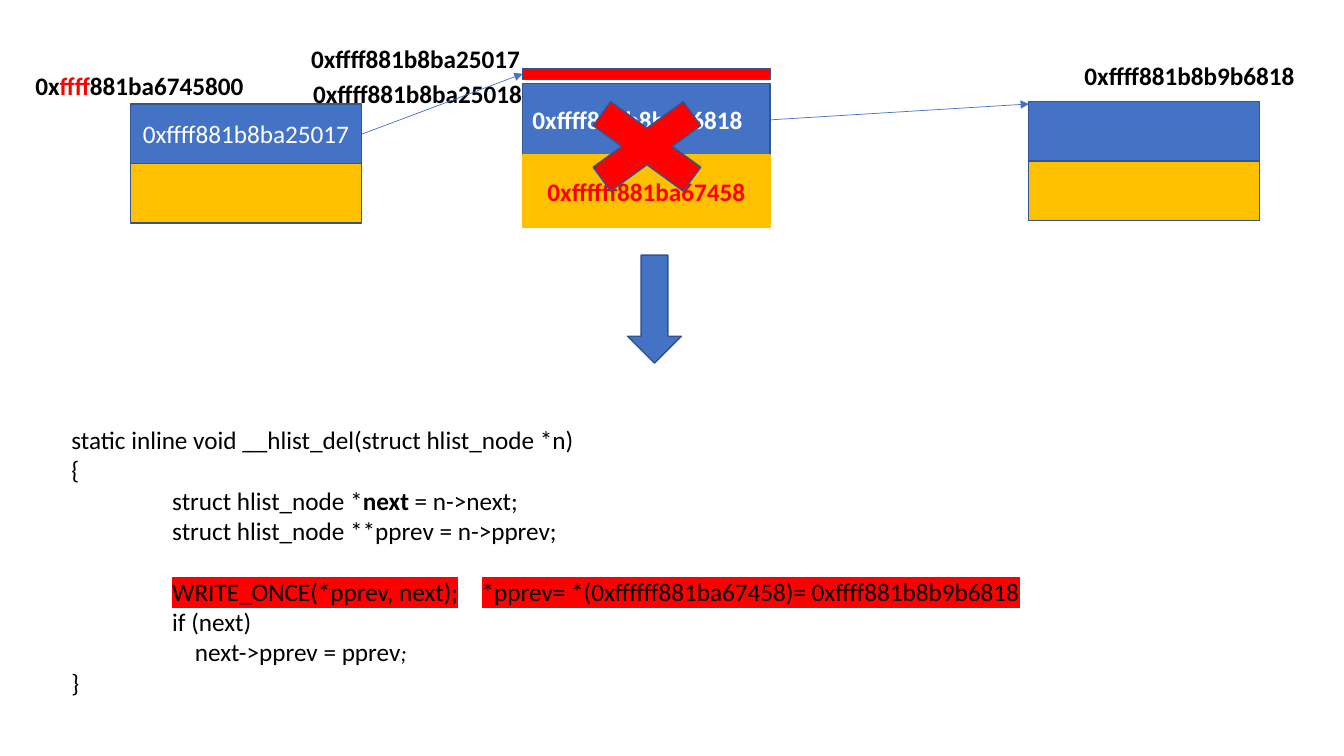
from dataclasses import dataclass

import pptx
import pptx.dml.color
import pptx.enum.shapes
import pptx.enum.text
import pptx.oxml.ns
import pptx.util
from lxml import etree

Cm = pptx.util.Cm
Pt = pptx.util.Pt
RGBColor = pptx.dml.color.RGBColor
Preset = pptx.enum.shapes.MSO_SHAPE
Align = pptx.enum.text.PP_ALIGN
Anchor = pptx.enum.text.MSO_ANCHOR
qn = pptx.oxml.ns.qn

BLUE = RGBColor(0x44, 0x72, 0xC4)
OUTLINE = RGBColor(0x32, 0x54, 0x91)
GOLD = RGBColor(0xFF, 0xC0, 0x00)
RED = RGBColor(0xFF, 0x00, 0x00)
WHITE = RGBColor(0xFF, 0xFF, 0xFF)
BLACK = RGBColor(0x00, 0x00, 0x00)


@dataclass(frozen=True)
class Span:
    text: str
    color: RGBColor = BLACK
    bold: bool = False
    italic: bool = False
    size: float = 18
    highlight: RGBColor | None = None


@dataclass(frozen=True)
class Block:
    left: float
    top: float
    width: float
    height: float
    fill: RGBColor
    outline: RGBColor = OUTLINE
    preset: Preset = Preset.RECTANGLE
    span: Span | None = None
    align: Align = Align.CENTER


@dataclass(frozen=True)
class Label:
    left: float
    top: float
    spans: tuple[Span, ...]
    align: Align = Align.CENTER


@dataclass(frozen=True)
class Link:
    start: tuple[float, float]
    end: tuple[float, float]


def node(left: float, top: float, span: Span | None = None) -> list[Block]:
    """A list node: a blue next field above a gold pprev field."""
    width, height = 5.82, 1.5
    return [Block(left, top + height, width, height, GOLD),
            Block(left, top, width, height, BLUE, span=span)]


def address(text: str, color: RGBColor = BLACK) -> Span:
    return Span(text, color, bold=True)


# Nodes: left, freed middle, right
MID_LEFT, MID_WIDTH, MID_HEIGHT = 13.17, 6.24, 1.81
BLOCKS = [
    *node(3.29, 2.62, Span("0xffff881b8ba25017", WHITE)),
    Block(MID_LEFT, 2.1, MID_WIDTH, MID_HEIGHT, BLUE,
          span=address("0xffff881b8b9b6818", WHITE), align=Align.LEFT),
    Block(MID_LEFT, 2.1 + MID_HEIGHT, MID_WIDTH, MID_HEIGHT, GOLD, GOLD,
          span=address("0xffffff881ba67458", RED)),
    Block(MID_LEFT, 1.73, MID_WIDTH, 0.28, RED),
    *node(25.92, 2.56),
    Block(15.82, 6.43, 1.35, 2.72, BLUE, preset=Preset.DOWN_ARROW),
    Block(14.12, 2.1, 4.37, 3.18, RED, preset=Preset.MATH_MULTIPLY),
]

LABELS = [
    Label(7.59, 1.85, (address("0xffff881b8ba25018"),)),
    Label(0.58, 1.65, (address("0x"), address("ffff", RED), address("881ba6745800"))),
    Label(27.08, 1.4, (address("0xffff881b8b9b6818"),), Align.LEFT),
    Label(7.54, 0.97, (address("0xffff881b8ba25017"),)),
]

LINKS = [Link((9.12, 3.38), (13.17, 1.86)), Link((19.41, 3.02), (25.93, 2.62))]

CODE = [
    [Span("static inline void __hlist_del(struct hlist_node *n)")],
    [Span("{")],
    [Span("\tstruct hlist_node *"), Span("next", bold=True), Span(" = n->next;")],
    [Span("\tstruct hlist_node **pprev = n->pprev;")],
    [Span("\t"),
     Span("WRITE_ONCE(*pprev, next);\t*pprev= *(0xffffff881ba67458)= 0xffff881b8b9b6818",
          highlight=RED)],
    [Span("\tif (next)")],
    [Span("\t    next->pprev = pprev"), Span(";", size=16, italic=True)],
    [Span("}")],
]
CODE_TABS = (2.54, 10.34)
GAP_LINE = 4  # the write stands one line below the declarations


def add_text(para, text: str, *, color: RGBColor, size: float, bold: bool = False,
             italic: bool = False, highlight: RGBColor | None = None) -> None:
    run = para.add_run()
    run.text = text
    run.font.size = Pt(size)
    run.font.bold = bold
    run.font.italic = italic
    run.font.color.rgb = color
    if highlight is not None:
        mark = etree.SubElement(run.font._element, qn("a:highlight"))
        etree.SubElement(mark, qn("a:srgbClr"), val=str(highlight))
    run.font.name = "Calibri"


def add_spans(para, spans) -> None:
    for span in spans:
        add_text(para, span.text, color=span.color, size=span.size, bold=span.bold,
                 italic=span.italic, highlight=span.highlight)


def draw_block(page, block: Block) -> None:
    box = page.shapes.add_shape(block.preset, Cm(block.left), Cm(block.top),
                                Cm(block.width), Cm(block.height))
    box.shadow.inherit = False
    box.fill.solid()
    box.fill.fore_color.rgb = block.fill
    box.line.color.rgb = block.outline
    box.line.width = Pt(1)
    if block.span:
        box.text_frame.vertical_anchor = Anchor.MIDDLE
        para = box.text_frame.paragraphs[0]
        para.alignment = block.align
        add_spans(para, [block.span])


def draw_label(page, label: Label) -> None:
    box = page.shapes.add_textbox(Cm(label.left), Cm(label.top), Cm(5.87), Cm(1.02))
    box.text_frame.word_wrap = False
    para = box.text_frame.paragraphs[0]
    para.alignment = label.align
    add_spans(para, label.spans)


def draw_link(page, link: Link) -> None:
    ends = [Cm(value) for value in link.start + link.end]
    arrow = page.shapes.add_connector(pptx.enum.shapes.MSO_CONNECTOR.STRAIGHT, *ends)
    arrow.line.color.rgb = BLUE
    arrow.line.width = Pt(0.5)
    properties = arrow._element.spPr
    etree.SubElement(properties.find(qn("a:ln")), qn("a:tailEnd"), type="triangle")
    etree.SubElement(properties, qn("a:effectLst"))


def draw_code(page) -> None:
    box = page.shapes.add_textbox(Cm(1.55), Cm(10.57), Cm(25.12), Cm(7.19))
    frame = box.text_frame
    frame.word_wrap = True
    for index, spans in enumerate(CODE):
        para = frame.paragraphs[0] if index == 0 else frame.add_paragraph()
        tabs = etree.SubElement(para._p.get_or_add_pPr(), qn("a:tabLst"))
        for stop in CODE_TABS:
            etree.SubElement(tabs, qn("a:tab"), pos=str(int(Cm(stop))), algn="l")
        if index == GAP_LINE:
            para.space_before = Pt(22)
        add_spans(para, spans)


def main() -> None:
    deck = pptx.Presentation()
    deck.slide_width, deck.slide_height = Cm(33.87), Cm(19.05)
    page = deck.slides.add_slide(deck.slide_layouts[6])

    # Linked list
    for block in BLOCKS:
        draw_block(page, block)
    for label in LABELS:
        draw_label(page, label)
    for link in LINKS:
        draw_link(page, link)

    # Code listing
    draw_code(page)
    deck.save("out.pptx")


if __name__ == "__main__":
    main()
